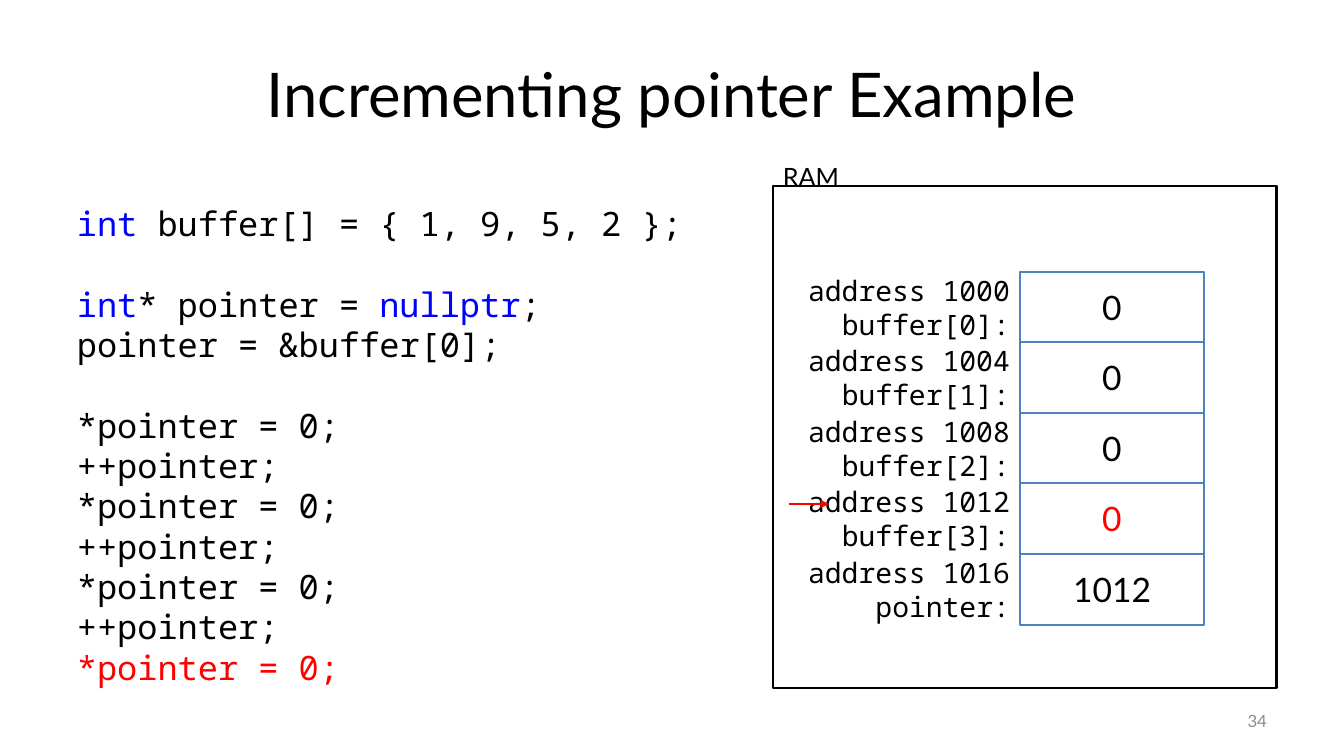
from pptx import Presentation, util as u
from pptx.dml.color import RGBColor
from pptx.enum import shapes, text
from pptx.oxml.ns import qn
from lxml import etree

BLACK = RGBColor(0x00, 0x00, 0x00)
WHITE = RGBColor(0xFF, 0xFF, 0xFF)
GRAY = RGBColor(0x8C, 0x8C, 0x8C)
BLUE = RGBColor(0x00, 0x00, 0xFF)
RED = RGBColor(0xFF, 0x00, 0x00)
STEEL = RGBColor(0x4F, 0x81, 0xBD)
SANS, MONO = "Lato", "Noto Sans Mono"
LEFT, CENTER, RIGHT = text.PP_ALIGN.LEFT, text.PP_ALIGN.CENTER, text.PP_ALIGN.RIGHT
TOP, MIDDLE = text.MSO_ANCHOR.TOP, text.MSO_ANCHOR.MIDDLE

TITLE = "Incrementing pointer Example"
PAGE = "34"
STORE = [("*pointer = 0;", BLACK)]
ADVANCE = [("++pointer;", BLACK)]
CODE_BLOCKS = [
    [[("int", BLUE), (" buffer[] = { 1, 9, 5, 2 };", BLACK)]],
    [[("int", BLUE), ("* pointer = ", BLACK), ("nullptr", BLUE), (";", BLACK)],
     [("pointer = &buffer[0];", BLACK)]],
    [STORE, ADVANCE] * 3 + [[("*pointer = 0;", RED)]],
]
MEMORY = [
    ("address 1000", "buffer[0]:", "0", BLACK),
    ("address 1004", "buffer[1]:", "0", BLACK),
    ("address 1008", "buffer[2]:", "0", BLACK),
    ("address 1012", "buffer[3]:", "0", RED),
    ("address 1016", "pointer:", "1012", BLACK),
]
PX = 914400 / 100.8
CELL_LEFT, CELL_TOP, CELL_WIDTH, CELL_HEIGHT = 1020, 272, 184, 71
ROW_PITCH = 70.5
LABEL_LEFT, LABEL_HEIGHT = 739, 78
CODE_GAP = u.Pt(28.8)


def px(*lengths):
    return [u.Emu(round(length * PX)) for length in lengths]


def write(shape, lines, size, font, align=LEFT, anchor=TOP, gaps=()):
    frame = shape.text_frame
    frame.word_wrap = True
    frame.auto_size = text.MSO_AUTO_SIZE.NONE
    frame.vertical_anchor = anchor
    for index, line in enumerate(lines):
        paragraph = frame.add_paragraph() if index else frame.paragraphs[0]
        paragraph.alignment = align
        if index in gaps:
            paragraph.space_before = CODE_GAP
        for words, color in line:
            run = paragraph.add_run()
            run.text = words
            run.font.size = u.Pt(size)
            run.font.name = font
            run.font.color.rgb = color


def add_text(box, *args, **kwargs):
    write(slide.shapes.add_textbox(*px(*box)), *args, **kwargs)


def add_box(box, line_color):
    shape = slide.shapes.add_shape(shapes.MSO_SHAPE.RECTANGLE, *px(*box))
    shape.shadow.inherit = False
    shape.fill.solid()
    shape.fill.fore_color.rgb = WHITE
    shape.line.color.rgb = line_color
    shape.line.width = u.Pt(2)
    return shape


deck = Presentation()
deck.slide_width, deck.slide_height = px(1344, 756)
slide = deck.slides.add_slide(deck.slide_layouts[5])

title = slide.shapes.title
title.left, title.top, title.width, title.height = px(67, 30, 1210, 126)
write(title, [[(TITLE, BLACK)]], 44, SANS, CENTER, MIDDLE)
add_text((963, 701, 314, 40), [[(PAGE, GRAY)]], 12, SANS, RIGHT, MIDDLE)

add_box((773, 186, 504, 502), BLACK)
add_text((773, 156, 187, 40), [[("RAM", BLACK)]], 18, SANS)

for row, (address, variable, value, color) in enumerate(MEMORY):
    top = int(CELL_TOP + row * ROW_PITCH)
    cell = add_box((CELL_LEFT, top, CELL_WIDTH, CELL_HEIGHT), STEEL)
    write(cell, [[(value, color)]], 24, SANS, CENTER, MIDDLE)
    add_text((LABEL_LEFT, top - 4, CELL_LEFT - LABEL_LEFT, LABEL_HEIGHT),
             [[(address, BLACK)], [(variable, BLACK)]], 20, MONO, RIGHT, MIDDLE)

code_lines = [line for block in CODE_BLOCKS for line in block]
block_starts = [sum(map(len, CODE_BLOCKS[:i])) for i in range(1, len(CODE_BLOCKS))]
add_text((67, 198, 672, 499), code_lines, 24, MONO, gaps=block_starts)

arrow = slide.shapes.add_connector(shapes.MSO_CONNECTOR.STRAIGHT, *px(789, 504, 829, 504))
arrow.line.color.rgb = RED
arrow.line.width = u.Pt(0.75)
etree.SubElement(arrow.line._get_or_add_ln(), qn("a:tailEnd"), type="triangle")
etree.SubElement(arrow._element.spPr, qn("a:effectLst"))

deck.save("out.pptx")
